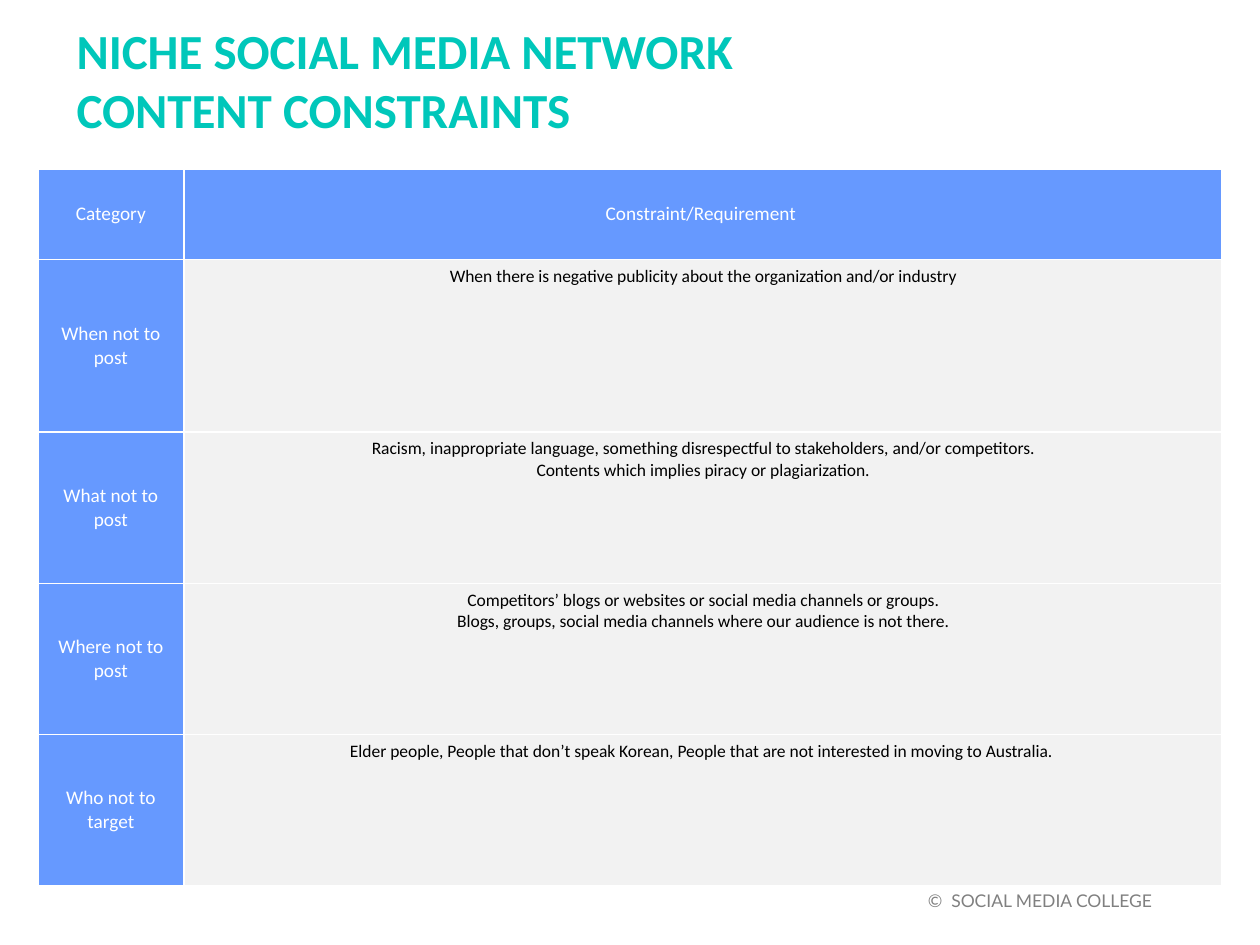
from lxml.etree import SubElement
from pptx import Presentation
from pptx.dml.color import RGBColor
from pptx.enum.text import MSO_ANCHOR as Anchor, PP_ALIGN as Align
from pptx.oxml.ns import qn
from pptx.util import Inches, Pt

WIDTH, HEIGHT = 10, 7.5
COLORS = {"title": "00C7BA", "header": "6699FF", "body": "F2F2F2",
          "white": "FFFFFF", "black": "000000", "footer": "808080"}
COLUMN_WIDTHS = [1.16, 8.24]
ROW_HEIGHTS = [0.72, 1.37, 1.2, 1.2, 1.2]
CONSTRAINTS = [
    ("Category", ["Constraint/Requirement "]),
    ("When not to post",
     ["When there is negative publicity about the organization and/or industry"]),
    ("What not to post",
     ["Racism, inappropriate language, something disrespectful to stakeholders, and/or competitors.",
      "Contents which implies piracy or plagiarization."]),
    ("Where not to post",
     ["Competitors’ blogs or websites or social media channels or groups.",
      "Blogs, groups, social media channels where our audience is not there."]),
    ("Who not to target",
     ["Elder people, People that don’t speak Korean, "
      "People that are not interested in moving to Australia. "]),
]


def rgb(name):
    return RGBColor.from_string(COLORS[name])


class SlideBuilder:
    def __init__(self, slide, font="Calibri"):
        self.slide = slide
        self.font = font

    def paragraphs(self, frame, lines, size, color, align, bold=False, font=None):
        for index, line in enumerate(lines):
            paragraph = frame.add_paragraph() if index else frame.paragraphs[0]
            paragraph.text = line
            paragraph.alignment = align
            paragraph.font.name = font or self.font
            paragraph.font.size = Pt(size)
            paragraph.font.bold = bold
            paragraph.font.color.rgb = rgb(color)

    def text(self, box, lines, size, color, align=Align.LEFT, **style):
        """Place a middle-anchored text box; box is left, top, width, height."""
        frame = self.slide.shapes.add_textbox(*map(Inches, box)).text_frame
        frame.word_wrap = True
        frame.vertical_anchor = Anchor.MIDDLE
        self.paragraphs(frame, lines, size, color, align, **style)

    def borders(self, cell, color):
        properties = cell._tc.get_or_add_tcPr()
        for index, side in enumerate(("lnL", "lnR", "lnT", "lnB")):
            line = properties.makeelement(qn(f"a:{side}"), {"w": str(Pt(1))})
            properties.insert(index, line)
            fill = SubElement(line, qn("a:solidFill"))
            SubElement(fill, qn("a:srgbClr"), val=COLORS[color])

    def cell(self, cell, lines, is_header):
        cell.fill.solid()
        cell.fill.fore_color.rgb = rgb("header" if is_header else "body")
        cell.vertical_anchor = Anchor.MIDDLE if is_header else Anchor.TOP
        size, color = (11, "white") if is_header else (10, "black")
        self.paragraphs(cell.text_frame, lines, size, color, Align.CENTER)
        self.borders(cell, "white")

    def table(self, left, top, widths, heights, rows):
        """Build a table whose first row and first column are headers."""
        table = self.slide.shapes.add_table(
            len(heights), len(widths), Inches(left), Inches(top),
            Inches(sum(widths)), Inches(sum(heights))).table
        for column, width in zip(table.columns, widths):
            column.width = Inches(width)
        for row, height in zip(table.rows, heights):
            row.height = Inches(height)
        for r, (category, details) in enumerate(rows):
            self.cell(table.cell(r, 0), [category], True)
            self.cell(table.cell(r, 1), details, r == 0)


def main():
    presentation = Presentation()
    presentation.slide_width = Inches(WIDTH)
    presentation.slide_height = Inches(HEIGHT)
    blank = presentation.slide_layouts[6]
    builder = SlideBuilder(presentation.slides.add_slide(blank))

    margin = 0.03 * WIDTH
    builder.text((0.51, 0.11, 8.84, 1.04),
                 ["NICHE SOCIAL MEDIA NETWORK", "CONTENT CONSTRAINTS"],
                 28, "title", bold=True)
    builder.table(margin, 1.34, COLUMN_WIDTHS, ROW_HEIGHTS, CONSTRAINTS)
    builder.text((margin, 6.95, 8.94, 0.4), ["©  SOCIAL MEDIA COLLEGE"],
                 10, "footer", Align.RIGHT, font="Lato")
    presentation.save("out.pptx")


if __name__ == "__main__":
    main()
